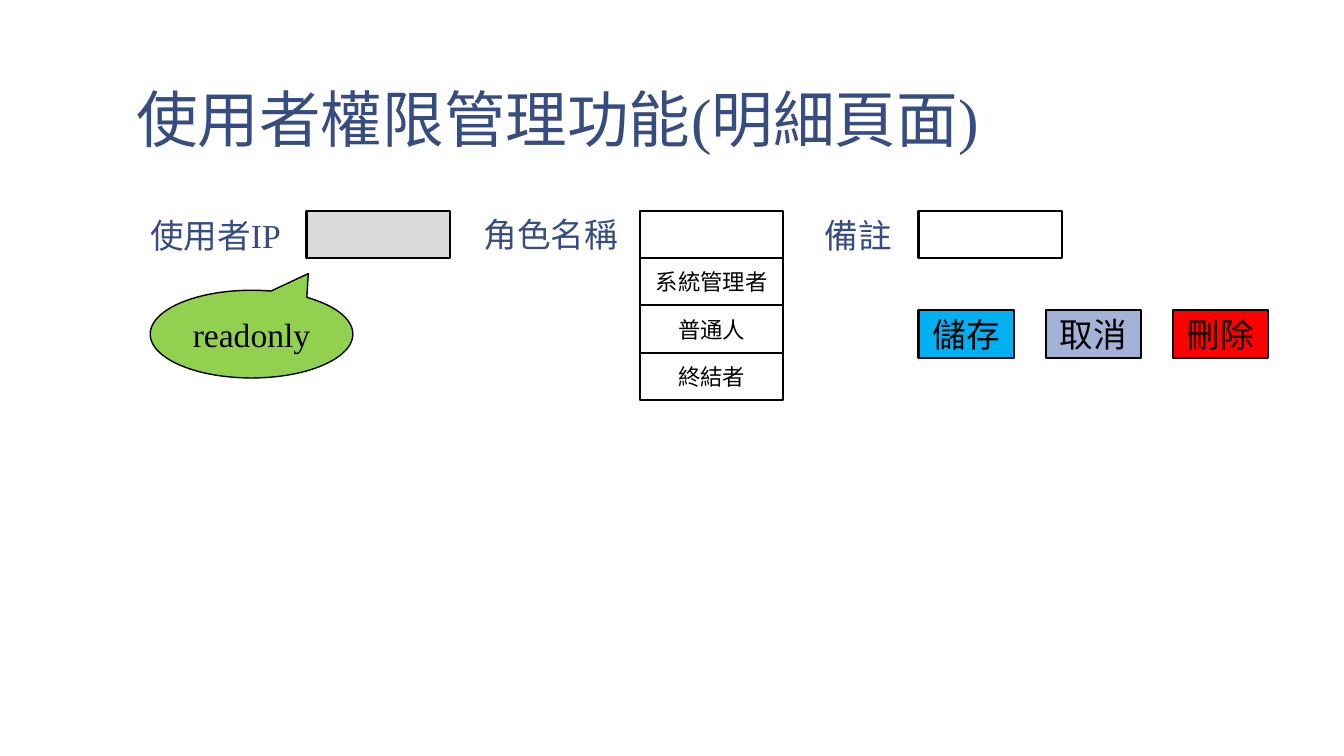
from dataclasses import dataclass

from pptx import Presentation
from pptx.dml.color import RGBColor as Rgb
from pptx.enum.shapes import MSO_SHAPE as Kind
from pptx.enum.text import MSO_ANCHOR as Anchor, PP_ALIGN as Align
from pptx.util import Inches, Pt


@dataclass(frozen=True)
class Theme:
    font: str = "Times New Roman"
    navy: str = "374C81"
    black: str = "000000"
    white: str = "FFFFFF"
    gray: str = "D9D9D9"
    blue: str = "00B0F0"
    mauve: str = "A4B2D8"
    red: str = "FF0000"
    green: str = "92D050"
    title: int = 44
    body: int = 24
    small: int = 16


THEME = Theme()
ROW = 0.47  # height of every field and button
TOP = 2.09  # top of the field row
WIDE = 1.42  # width of every field


def assign(item, values):
    for name, value in values.items():
        setattr(item, name, value)


def write(shape, text, size, color, frame, para):
    """Put one styled line of text into a shape."""
    body = shape.text_frame
    assign(body, {"word_wrap": True, **frame})
    line = body.paragraphs[0]
    assign(line, para)
    run = line.add_run()
    run.text = text
    assign(run.font, {"name": THEME.font, "size": Pt(size)})
    run.font.color.rgb = Rgb.from_string(color)


def add_text(slide, text, box, size, frame, para):
    shape = slide.shapes.add_textbox(*map(Inches, box))
    write(shape, text, size, THEME.navy, frame, para)


def add_label(slide, text, left, top):
    add_text(slide, text, (left, top, 1.54, 0.5), THEME.body, {}, {})


def add_box(slide, box, fill, text="", size=THEME.body, kind=Kind.RECTANGLE, line=1.5):
    shape = slide.shapes.add_shape(kind, *map(Inches, box))
    shape.shadow.inherit = False
    shape.fill.solid()
    shape.fill.fore_color.rgb = Rgb.from_string(fill)
    shape.line.color.rgb = Rgb.from_string(THEME.black)
    shape.line.width = Pt(line)
    if text:
        write(shape, text, size, THEME.black,
              {"vertical_anchor": Anchor.MIDDLE}, {"alignment": Align.CENTER})
    return shape


def add_title(slide, text):
    side, edge = Inches(0.13), Inches(0.07)
    frame = {"vertical_anchor": Anchor.BOTTOM, "margin_left": side,
             "margin_right": side, "margin_top": edge, "margin_bottom": edge}
    add_text(slide, text, (1.22, 0.08, 11.11, 1.53), THEME.title,
             frame, {"line_spacing": 0.85})


def add_fields(slide):
    fields = [("使用者IP", 1.39, 2.08, 3.04, THEME.gray),
              ("角色名稱", 4.7, 2.07, 6.35, THEME.white),
              ("備註", 8.08, 2.08, 9.11, THEME.white)]
    for text, left, top, start, fill in fields:
        add_box(slide, (start, TOP, WIDE, ROW), fill)
        add_label(slide, text, left, top)


def add_roles(slide):
    for step, role in enumerate(("系統管理者", "普通人", "終結者"), 1):
        box = (6.35, TOP + step * ROW, WIDE, ROW)
        add_box(slide, box, THEME.white, role, THEME.small)


def add_buttons(slide):
    buttons = [("儲存", THEME.blue), ("取消", THEME.mauve), ("刪除", THEME.red)]
    for step, (text, fill) in enumerate(buttons):
        add_box(slide, (9.11 + step * 1.26, 3.08, 0.95, ROW), fill, text)


def add_callout(slide):
    note = add_box(slide, (1.49, 2.88, 2.01, 0.87), THEME.green, "readonly",
                   kind=Kind.OVAL_CALLOUT, line=1)
    for index, value in enumerate((0.279, -0.689)):
        note.adjustments[index] = round(value, 2)


def main():
    deck = Presentation()
    assign(deck, {"slide_width": Inches(13.33), "slide_height": Inches(7.5)})
    slide = deck.slides.add_slide(deck.slide_layouts[6])

    # Heading
    add_title(slide, "使用者權限管理功能(明細頁面)")

    # Form with its role list
    add_fields(slide)
    add_roles(slide)

    # Actions and the note on the first field
    add_buttons(slide)
    add_callout(slide)

    deck.save("out.pptx")


if __name__ == "__main__":
    main()
